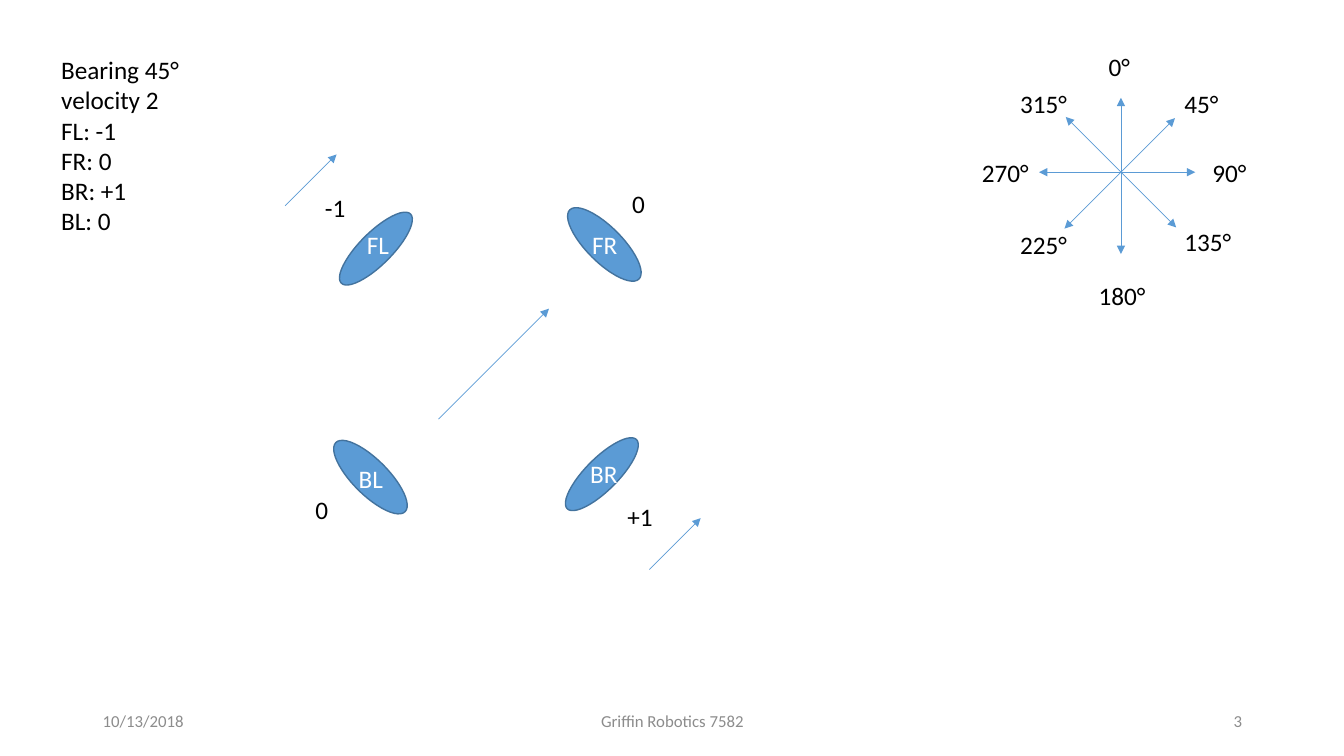
from dataclasses import dataclass
from math import cos, radians, sin

from lxml.etree import SubElement
from pptx import Presentation
from pptx.dml.color import RGBColor as RGB
from pptx.enum.shapes import MSO_CONNECTOR as Connector, MSO_SHAPE as Shape
from pptx.enum.text import MSO_ANCHOR as Anchor, MSO_AUTO_SIZE as AutoSize, PP_ALIGN as Align
from pptx.oxml.ns import qn
from pptx.util import Inches, Pt

COLUMNS, ROWS = 32, 18


@dataclass(frozen=True)
class Theme:
    font: str = "Calibri"
    body: int = 18
    small: int = 12
    ink: str = "000000"
    muted: str = "8C8C8C"
    light: str = "FFFFFF"
    accent: str = "5B9BD5"
    outline: str = "43739E"
    arrow_width: float = 0.5
    outline_width: float = 1


class Diagram:
    def __init__(self, prs, slide, theme):
        self.s, self.theme = slide, theme
        self.col, self.row = prs.slide_width / COLUMNS, prs.slide_height / ROWS

    def place(self, x, y):
        return round(x * self.col), round(y * self.row)

    def text(self, x, y, w, h, text, align=Align.LEFT, color=None, wrap=True):
        box = self.s.shapes.add_textbox(*self.place(x, y), *self.place(w, h))
        tf = box.text_frame
        tf.word_wrap = wrap
        tf.auto_size = AutoSize.SHAPE_TO_FIT_TEXT
        tf.text = text
        for p in tf.paragraphs:
            p.alignment = align
            p.font.name = self.theme.font
            p.font.size = Pt(self.theme.body)
            p.font.color.rgb = RGB.from_string(color or self.theme.ink)
        return tf

    def footer(self, x, w, text, align):
        tf = self.text(x, 16.68, w, 0.96, text, align, self.theme.muted)
        tf.auto_size = AutoSize.NONE
        tf.vertical_anchor = Anchor.MIDDLE
        tf.paragraphs[0].font.size = Pt(self.theme.small)

    def arrow(self, x, y, length, bearing, ends=("tailEnd",)):
        dx = length * sin(radians(bearing))
        dy = -length * cos(radians(bearing))
        line = self.s.shapes.add_connector(
            Connector.STRAIGHT, *self.place(x, y), *self.place(x + dx, y + dy))
        line.line.color.rgb = RGB.from_string(self.theme.accent)
        line.line.width = Pt(self.theme.arrow_width)
        sp_pr = line.line._get_or_add_ln().getparent()
        for end in ends:
            SubElement(sp_pr.find(qn("a:ln")), qn(f"a:{end}"), type="triangle")
        SubElement(sp_pr, qn("a:effectLst"))

    def spoke(self, x, y, radius, bearing):
        angle = radians(bearing)
        self.arrow(x - radius * sin(angle), y + radius * cos(angle),
                   2 * radius, bearing, ("headEnd", "tailEnd"))

    def wheel(self, x, y, w, h):
        sp = self.s.shapes.add_shape(
            Shape.OVAL, *self.place(x - w / 2, y - h / 2), *self.place(w, h))
        sp.rotation = 45
        sp.shadow.inherit = False
        sp.fill.solid()
        sp.fill.fore_color.rgb = RGB.from_string(self.theme.accent)
        sp.line.color.rgb = RGB.from_string(self.theme.outline)
        sp.line.width = Pt(self.theme.outline_width)


def main():
    prs = Presentation()
    prs.slide_width, prs.slide_height = Inches(13.33), Inches(7.5)
    theme = Theme()
    d = Diagram(prs, prs.slides.add_slide(prs.slide_layouts[6]), theme)

    d.text(1.22, 1.18, 5.9, 4.61,
           "Bearing 45°\nvelocity 2\nFL: -1\nFR: 0\nBR: +1\nBL: 0")

    for bearing, x, y in [(0, 26.69, 4.19), (90, 26.6, 4.1),
                          (45, 26.66, 4.13), (135, 26.69, 4.1)]:
        d.spoke(x, y, 1.86, bearing)

    compass = [(26.16, 1.1), (27.96, 1.99), (28.63, 3.62), (27.96, 5.26),
               (25.92, 6.55), (24.05, 5.35), (23.14, 3.62), (24.05, 1.99)]
    for i, (x, y) in enumerate(compass):
        bearing = str(45 * i)
        d.text(x, y, 0.7 + 0.3 * len(bearing), 0.96, f"{bearing}°", wrap=False)

    for x, y, length in [(10.44, 9.98, 3.72), (6.79, 4.9, 1.73), (15.46, 13.56, 1.73)]:
        d.arrow(x, y, length, 45)

    along, across = (2.33, 0.84), (0.77, 2.33)
    wheels = [
        ("FL", (8.95, 5.92), across, (9, 5.83), "-1", (7.49, 4.46, 0.98)),
        ("FR", (14.39, 5.82), along, (14.4, 5.83), "0", (14.81, 4.37, 0.79)),
        ("BR", (14.33, 11.29), across, (14.38, 11.28), "+1", (14.69, 11.81, 1.1)),
        ("BL", (8.82, 11.36), along, (8.83, 11.4), "0", (7.27, 11.66, 0.79)),
    ]
    for name, centre, size, (x, y), speed, speed_box in wheels:
        d.wheel(*centre, *size)
        d.text(x - 0.67, y - 0.48, 1.34, 0.96, name, Align.CENTER, theme.light)
        d.text(*speed_box, 0.96, speed, Align.CENTER, wrap=False)

    d.footer(2.21, 7.2, "10/13/2018", Align.LEFT)
    d.footer(10.61, 10.8, "Griffin Robotics 7582", Align.CENTER)
    d.footer(22.61, 7.2, "3", Align.RIGHT)

    prs.save("out.pptx")


if __name__ == "__main__":
    main()
